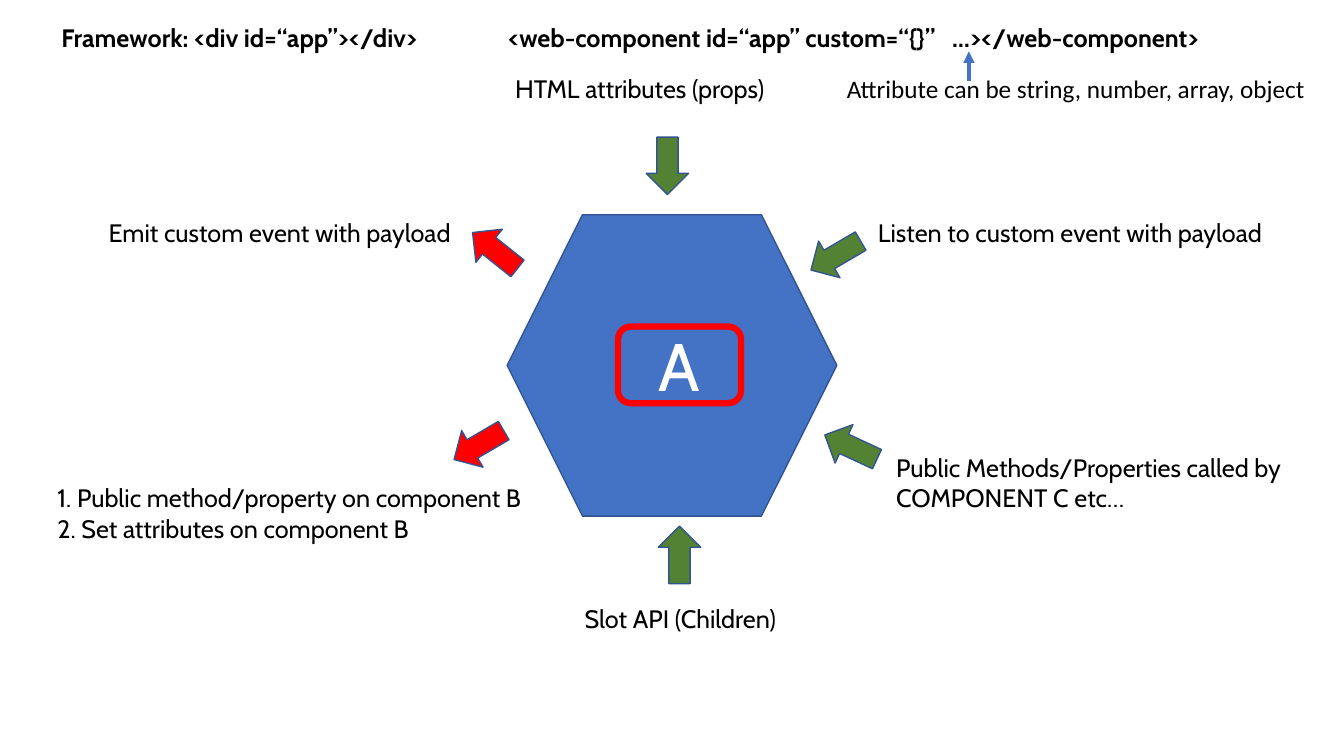
"""Build a slide showing the inputs and outputs of web component A."""
from lxml import etree
from pptx import Presentation
from pptx.dml.color import RGBColor
from pptx.enum.shapes import MSO_CONNECTOR, MSO_SHAPE
from pptx.enum.text import MSO_ANCHOR, MSO_AUTO_SIZE, PP_ALIGN
from pptx.oxml.ns import qn
from pptx.util import Inches, Pt

COLORS = {
    "blue": "4472C4",
    "outline": "325491",
    "green": "548235",
    "red": "FF0000",
    "black": "000000",
    "white": "FFFFFF",
}


def add_block(kind, left, top, width, height, fill, line="outline", weight=1):
    shape = slide.shapes.add_shape(
        kind, Inches(left), Inches(top), Inches(width), Inches(height))
    shape.shadow.inherit = False
    shape.fill.solid()
    shape.fill.fore_color.rgb = RGBColor.from_string(COLORS[fill])
    shape.line.color.rgb = RGBColor.from_string(COLORS[line])
    shape.line.width = Pt(weight)
    return shape


def style_text(text_frame, size, color, name="Cabin", bold=False):
    for paragraph in text_frame.paragraphs:
        for run in paragraph.runs:
            run.font.size = Pt(size)
            run.font.name = name
            run.font.bold = bold
            run.font.color.rgb = RGBColor.from_string(COLORS[color])


presentation = Presentation()
presentation.slide_width = Inches(13.33)
presentation.slide_height = Inches(7.5)
slide = presentation.slides.add_slide(presentation.slide_layouts[6])

add_block(MSO_SHAPE.HEXAGON, 5.03, 2.13, 3.27, 2.99, "blue")

arrows = [
    (6.41, 1.36, 180, "green"),
    (8.08, 2.25, 239.7, "green"),
    (8.23, 4.15, 294.9, "green"),
    (6.53, 5.22, 0, "green"),
    (4.54, 4.13, 239.7, "red"),
    (4.7, 2.2, 308.6, "red"),
]
for left, top, rotation, fill in arrows:
    arrow = add_block(MSO_SHAPE.UP_ARROW, left, top, 0.42, 0.57, fill)
    arrow.rotation = rotation

component = add_block(
    MSO_SHAPE.ROUNDED_RECTANGLE, 6.13, 3.24, 1.22, 0.76, "blue", "red", 4.5)
component.text_frame.text = "A"
component.text_frame.vertical_anchor = MSO_ANCHOR.MIDDLE
component.text_frame.paragraphs[0].alignment = PP_ALIGN.CENTER
style_text(component.text_frame, 48, "white")

labels = [
    (0.51, 0.17, 4.75, 0.4, "Framework: <div id=“app”></div>", "Cabin", True),
    (4.94, 0.17, 8.19, 0.4,
     "<web-component id=“app” custom=“{}”   …></web-component>", "Cabin", True),
    (5.01, 0.68, 3.09, 0.4, "HTML attributes (props)", "Cabin", False),
    (8.3, 0.68, 4.82, 0.4,
     "Attribute can be string, number, array, object", "Calibri", False),
    (0.98, 2.11, 3.74, 0.4, "Emit custom event with payload", "Cabin", False),
    (8.61, 2.11, 4.07, 0.4, "Listen to custom event with payload", "Cabin", False),
    (0.47, 4.74, 5.11, 0.71,
     "1. Public method/property on component B\n2. Set attributes on component B",
     "Cabin", False),
    (8.79, 4.44, 4.07, 0.71,
     "Public Methods/Properties called by COMPONENT C etc…", "Cabin", False),
    (5.7, 5.94, 2.32, 0.4, "Slot API (Children)", "Cabin", False),
]
for left, top, width, height, text, name, bold in labels:
    label = slide.shapes.add_textbox(
        Inches(left), Inches(top), Inches(width), Inches(height))
    label.text_frame.word_wrap = True
    label.text_frame.auto_size = MSO_AUTO_SIZE.SHAPE_TO_FIT_TEXT
    label.text_frame.text = text
    style_text(label.text_frame, 18, "black", name, bold)

pointer = slide.shapes.add_connector(
    MSO_CONNECTOR.STRAIGHT, Inches(9.61), Inches(0.8), Inches(9.61), Inches(0.51))
pointer.line.color.rgb = RGBColor.from_string(COLORS["blue"])
pointer.line.width = Pt(2.75)
etree.SubElement(pointer.line._get_or_add_ln(), qn("a:tailEnd"), type="triangle")
etree.SubElement(pointer._element.spPr, qn("a:effectLst"))

presentation.save("out.pptx")
